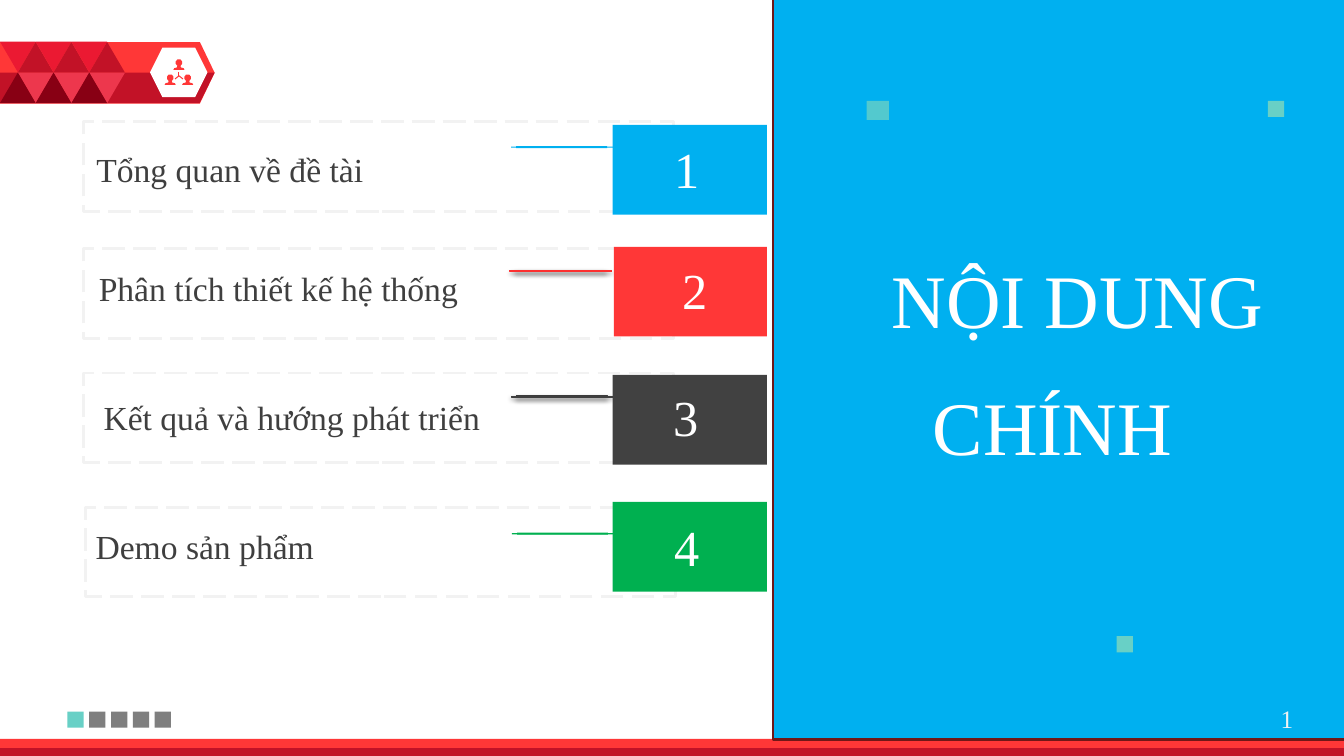
from lxml import etree
from pptx import Presentation
from pptx import util as u
from pptx.dml.color import RGBColor
from pptx.enum import shapes, text
from pptx.oxml.ns import qn

BLUE, RED, DARK_RED, TEAL, GREEN = "00B0F0", "FF3737", "C21227", "68D0C6", "00B050"
WHITE, GREY, CHARCOAL = "FFFFFF", "7F7F7F", "3F3F3F"
PRESET = shapes.MSO_SHAPE


def color(value):
    return RGBColor.from_string(value)


def write(shape, content, size=24, fill=CHARCOAL, align=text.PP_ALIGN.LEFT, font="Times New Roman"):
    frame = shape.text_frame
    frame.word_wrap = True
    frame.auto_size = text.MSO_AUTO_SIZE.SHAPE_TO_FIT_TEXT
    paragraph = frame.paragraphs[0]
    paragraph.alignment = align
    run = paragraph.add_run()
    run.text = content
    run.font.name = font
    run.font.size = u.Pt(size)
    run.font.color.rgb = color(fill)


class Canvas:
    """Draws on one slide; all lengths are centimetres."""

    def __init__(self, slide):
        self.slide = slide

    def finish(self, shape, fill, line=None, width=0.75):
        shape.shadow.inherit = False
        if fill:
            shape.fill.solid()
            shape.fill.fore_color.rgb = color(fill)
        else:
            shape.fill.background()
        if line:
            shape.line.color.rgb = color(line)
            shape.line.width = u.Pt(width)
        else:
            shape.line.fill.background()
        return shape

    def shape(self, x, y, w, h, fill, line=None, width=0.75, kind=PRESET.RECTANGLE):
        shape = self.slide.shapes.add_shape(kind, u.Cm(x), u.Cm(y), u.Cm(w), u.Cm(h))
        return self.finish(shape, fill, line, width)

    def outline(self, points, fill):
        corners = [(u.Cm(x), u.Cm(y)) for x, y in points]
        builder = self.slide.shapes.build_freeform(*corners[0])
        builder.add_line_segments(corners[1:], close=True)
        return self.finish(builder.convert_to_shape(), fill)

    def line(self, x1, y1, x2, y2, fill, width):
        connector = self.slide.shapes.add_connector(
            shapes.MSO_CONNECTOR.STRAIGHT, u.Cm(x1), u.Cm(y1), u.Cm(x2), u.Cm(y2))
        connector.line.color.rgb = color(fill)
        connector.line.width = u.Pt(width)
        etree.SubElement(connector._element.spPr, qn("a:effectLst"))

    def label(self, x, y, w, h, content, **style):
        box = self.slide.shapes.add_textbox(u.Cm(x), u.Cm(y), u.Cm(w), u.Cm(h))
        write(box, content, **style)

    def leader(self, x, y, w, h, fill, glow=None):
        """Thin bar centred on y; glow is (gradient start, gradient end, line)."""
        bar = self.shape(x, y - h / 2, w, h, fill, glow and glow[2])
        if not glow:
            return
        bar.fill.gradient()
        bar.fill.gradient_angle = 180
        for stop, tint, position in zip(bar.fill.gradient_stops, glow, (0, 0.8)):
            stop.color.rgb = color(tint)
            stop.position = position
        effects = bar._element.spPr.find(qn("a:effectLst"))
        shadow = etree.SubElement(effects, qn("a:outerShdw"), blurRad=str(u.Pt(3.1)),
                                  dist=str(u.Pt(1.8)), dir="5400000", rotWithShape="0")
        tint = etree.SubElement(shadow, qn("a:srgbClr"), val="000000")
        etree.SubElement(tint, qn("a:alpha"), val="35000")


def draw_banner(canvas):
    banner = canvas.shape(0, 1.06, 5.41, 1.55, RED, kind=PRESET.PENTAGON)
    banner.adjustments[0] = 0.24
    canvas.outline([(0, 1.83), (5.41, 1.83), (5.03, 2.6), (0, 2.6)], DARK_RED)
    badge = canvas.shape(3.78, 1.2, 1.45, 1.25, WHITE, kind=PRESET.HEXAGON)
    badge.adjustments[0] = 0.25

    # Three linked people
    half = [(0.04, 0), (0.08, 0.05), (0.08, 0.11), (0.04, 0.16),
            (0.05, 0.2), (0.12, 0.22), (0.14, 0.26)]
    person = half + [(-x, y) for x, y in reversed(half)]
    for x, y in ((4.51, 1.5), (4.29, 1.88), (4.73, 1.88)):
        canvas.outline([(x + dx, y + dy) for dx, dy in person], RED)
    for x, y in ((4.51, 1.81), (4.41, 1.99), (4.61, 1.99)):
        canvas.line(4.51, 1.91, x, y, RED, 0.75)

    # Triangle pattern: offset in columns, top, rotation, colour
    pattern = ((0, 1.05, 180, "EB1932"), (0.5, 1.06, 0, DARK_RED),
               (0.5, 1.83, 180, "ED374D"), (0, 1.83, 0, "880014"))
    for column in range(3):
        for offset, top, rotation, fill in pattern:
            triangle = canvas.shape((column + offset) * 0.9, top, 0.9, 0.77, fill,
                                    kind=PRESET.ISOSCELES_TRIANGLE)
            triangle.rotation = rotation


def draw_panel(canvas):
    canvas.shape(0, 18.62, 33.87, 0.41, RED)
    canvas.shape(0, 18.85, 33.87, 0.2, DARK_RED)
    canvas.shape(19.48, -0.41, 14.5, 19.05, BLUE, "701818", 2)
    right = text.PP_ALIGN.RIGHT
    for x, y, words in ((15.14, 6.25, "NỘI DUNG"), (12.85, 9.45, "CHÍNH")):
        canvas.label(x, y, 16.94, 2.57, words, size=54, fill=WHITE, align=right)
    canvas.label(31.34, 17.6, 1.5, 1.02, "1", size=18, fill="F2F2F2", align=right)

    # Small squares
    faded = canvas.shape(21.84, 2.54, 0.56, 0.48, TEAL)
    tint = faded._element.spPr.find(qn("a:solidFill"))[0]
    etree.SubElement(tint, qn("a:alpha"), val="80000")
    for x, y in ((28.14, 16.03), (31.95, 2.54)):
        canvas.shape(x, y, 0.41, 0.41, TEAL)
    for index in range(5):
        canvas.shape(1.7 + index * 0.55, 17.93, 0.41, 0.41, GREY if index else TEAL)


def draw_agenda(canvas):
    red_glow = ("D11111", "FF1818", "FD3030")
    dark_glow = ("2F2F2F", "3E3E3E", CHARCOAL)
    # Title, colour, glow, then x, y of frame, title, box and number, then x, y of leader
    rows = (
        ("Tổng quan về đề tài", BLUE, None,
         (2.11, 3.07), (2.18, 3.63), (15.44, 3.15), (15.9, 3.35), (12.88, 3.71)),
        ("Phân tích thiết kế hệ thống", RED, red_glow,
         (2.11, 6.27), (2.24, 6.63), (15.47, 6.22), (16.1, 6.4), (12.85, 6.83)),
        ("Kết quả và hướng phát triển", "414141", dark_glow,
         (2.11, 9.4), (2.36, 9.88), (15.44, 9.45), (15.88, 9.6), (12.88, 10)),
        ("Demo sản phẩm", GREEN, None,
         (2.16, 12.78), (2.16, 13.13), (15.44, 12.75 - 0.1), (15.9, 12.88), (12.9, 13.45)),
    )
    for number, (title, fill, glow, frame, label, box, digit, leader) in enumerate(rows, 1):
        x, y = leader
        canvas.leader(x + 0.13, y, 2.29, 0.05, fill, glow)
        canvas.leader(x, y, 2.57, 0.03, fill, glow)
        dashed = canvas.shape(*frame, 14.86, 2.26, None, "F2F2F2", 2)
        dashed.line.dash_style = 7  # long dash
        canvas.label(*label, 13.49, 1.27, title)
        canvas.shape(*box, 19.33 - box[0], 2.26, fill)
        canvas.label(*digit, 2.84, 1.8, str(number), size=36, fill=WHITE,
                     align=text.PP_ALIGN.CENTER)


def main():
    presentation = Presentation()
    presentation.slide_width = u.Cm(33.87)
    presentation.slide_height = u.Cm(19.05)
    canvas = Canvas(presentation.slides.add_slide(presentation.slide_layouts[6]))
    draw_banner(canvas)
    draw_panel(canvas)
    draw_agenda(canvas)
    presentation.save("out.pptx")


if __name__ == "__main__":
    main()
